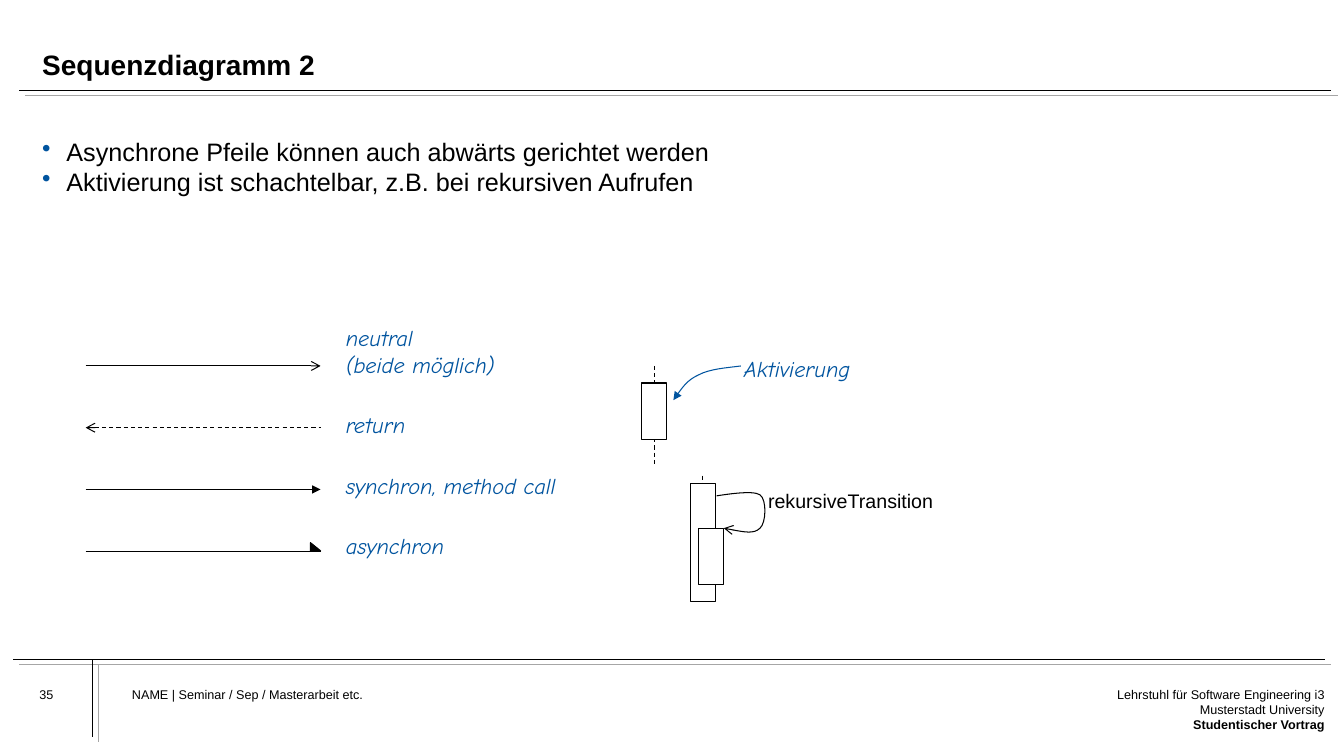
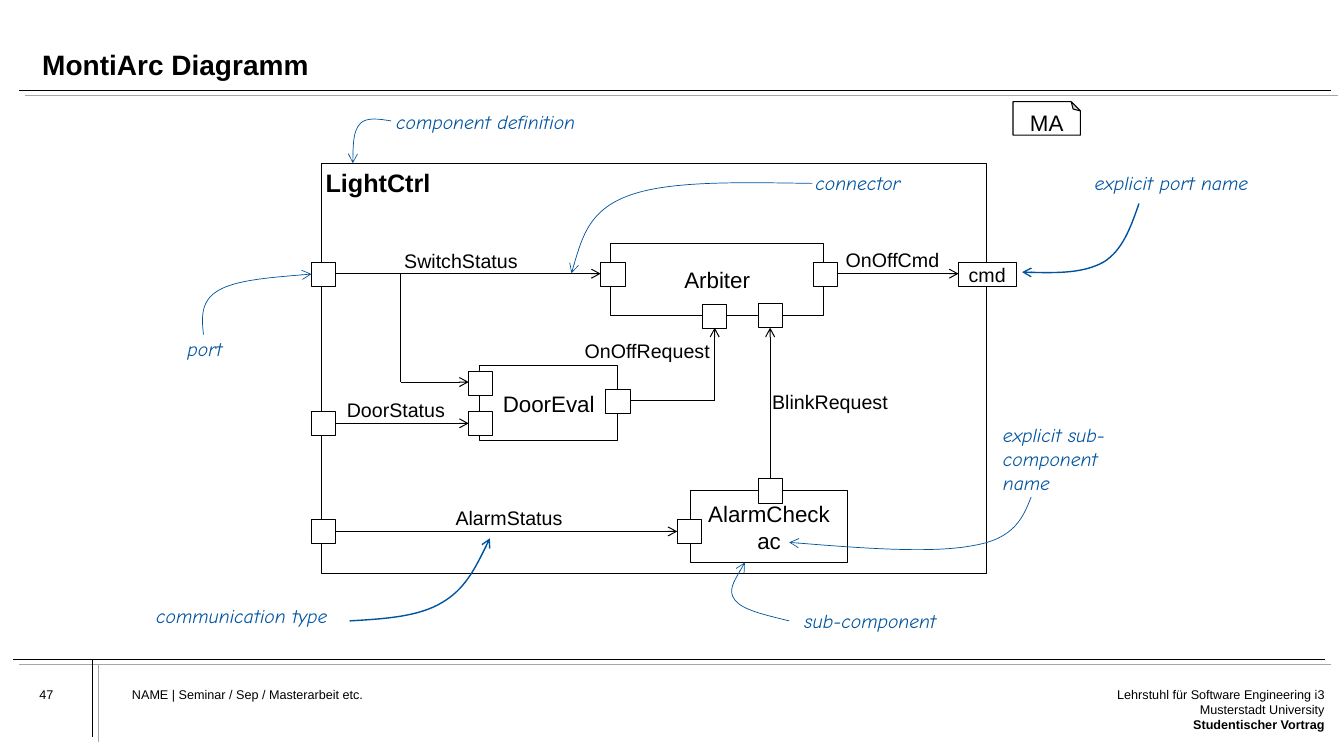
from typing import NamedTuple, Optional

from lxml import etree
from pptx import Presentation
from pptx.dml import color
from pptx.enum import dml, shapes, text
from pptx.oxml import ns
from pptx.util import Pt

BLACK = color.RGBColor(0x00, 0x00, 0x00)
GREY = color.RGBColor(0xA6, 0xA6, 0xA6)
WHITE = color.RGBColor(0xFF, 0xFF, 0xFF)
BLUE = color.RGBColor(0x00, 0x54, 0x9F)
RULE_SHIFT = (4.3, 3.8)
PORT_SIZE = 17.3
BULLET_INDENT = 17.3
BAR_WIDTH = 18
LEFT, CENTER, RIGHT = text.PP_ALIGN.LEFT, text.PP_ALIGN.CENTER, text.PP_ALIGN.RIGHT
TOP, MIDDLE, BOTTOM = text.MSO_ANCHOR.TOP, text.MSO_ANCHOR.MIDDLE, text.MSO_ANCHOR.BOTTOM

Point = tuple[float, float]
Frame = tuple[float, float, float, float]


class Style(NamedTuple):
    size: float
    ink: color.RGBColor = BLACK
    name: str = "Arial"
    bold: bool = False
    italic: bool = False


class Label(NamedTuple):
    wording: str
    left: float
    top: float
    width: float = 190


class Wire(NamedTuple):
    start: Point
    end: Point
    head: Optional[str] = None
    tail: Optional[str] = None
    dashed: bool = False
    weight: float = 0.75
    ink: color.RGBColor = BLACK


class Curve(NamedTuple):
    """x, y of the start, then of three points for each Bézier segment."""
    numbers: tuple[float, ...]
    tail: str = "arrow"
    weight: float = 0.5
    ink: color.RGBColor = BLUE


class Block(NamedTuple):
    frame: Frame
    wording: str = ""
    style: Style = Style(16)
    weight: float = 0.75
    fill: color.RGBColor = WHITE
    kind: shapes.MSO_SHAPE = shapes.MSO_SHAPE.RECTANGLE
    align: text.PP_ALIGN = CENTER
    anchor: text.MSO_ANCHOR = MIDDLE


TITLE = Style(20, bold=True)
BODY = Style(18)
FOOTER = Style(9)
SIGNAL = Style(14)
NOTE = Style(14, BLUE, "Comic Neue", italic=True)
LARGE_NOTE = Style(16, BLUE, "Comic Neue", italic=True)

RULES = [((13.7, 64.3), (951.1, 64.3)), ((9.4, 470.9), (946.1, 470.9)),
         ((66.2, 470.9), (66.2, 526.3))]

MESSAGES = {
    "neutral\n(beide möglich)": {"tail": "arrow"},
    "return": {"head": "arrow", "dashed": True},
    "synchron, method call": {"tail": "triangle"},
    "asynchron": {}}
LIFELINES = [(467.3, 261.4), (501.8, 339.8)]
ACTIVATIONS = [(457.9, 273.6, 40.3), (493.2, 345.6, 84.2), (499, 377.3, 40.3)]
SEQUENCE_CURVES = [
    Curve((511.9, 354.2, 517, 353.5, 537.8, 349.9, 542.9, 353.5, 547.9, 357.1,
           547.2, 373.7, 542.9, 377.3, 538.6, 381.6, 527.8, 379.4, 517, 377.3),
          weight=0.75, ink=BLACK),
    Curve((529.2, 261.4, 518.4, 262.8, 506.9, 263.5, 499, 267.8,
           491, 271.4, 483.8, 281.5, 481, 285.8), "triangle", 0.75)]

COMPONENTS = [
    Block((229.7, 116.6, 475.2, 293), "LightCtrl", Style(18, bold=True), align=LEFT, anchor=TOP),
    Block((493.2, 350.6, 112.3, 51.1), "AlarmCheck\nac"),
    Block((436.3, 174.2, 151.9, 51.1), "Arbiter"),
    Block((342.7, 261.4, 98.6, 53.3), "DoorEval")]
WIRES = [
    Wire((550.1, 342), (550.1, 234), tail="arrow"),
    Wire((239.8, 379.6), (483.8, 379.6), tail="arrow"),
    Wire((239.8, 195.5), (429.1, 195.5), tail="arrow"),
    Wire((597.6, 195.5), (684.7, 195.5), tail="arrow"),
    Wire((239.8, 302.4), (334.8, 302.4), tail="arrow"),
    Wire((450, 285.8), (510.5, 285.8)),
    Wire((510.5, 285.8), (510.5, 234), tail="arrow"),
    Wire((286.2, 195.5), (286.2, 272.9), weight=0.5),
    Wire((286.2, 272.9), (334.8, 272.9), tail="arrow")]
PORTS = [
    (222.5, 187.2), (222.5, 293.8), (222.5, 371.2), (429.1, 187.2), (581, 187.2), (501.8, 217.4),
    (541.4, 216.7), (334.8, 265), (334.8, 293.8), (432.7, 277.9), (541.4, 342), (483.8, 371.2)]
SIGNALS = [
    Label("BlinkRequest", 551.5, 278.6), Label("AlarmStatus", 325.4, 361.4),
    Label("SwitchStatus", 288.7, 177.8), Label("OnOffCmd", 604.1, 177.1),
    Label("DoorStatus", 247.7, 284.4), Label("OnOffRequest", 417.6, 241.9)]
NOTES = [
    Label("port", 133.9, 240.5), Label("component definition", 283, 78.5),
    Label("sub-component", 574.6, 434.9), Label("connector", 582.5, 122.4),
    Label("communication type", 111.6, 431.3), Label("explicit port name", 781.9, 122.4, 150),
    Label("explicit sub-component name", 716.4, 302.4, 87.8)]
NOTE_CURVES = [
    Curve((145.4, 239, 144, 226.8, 143.3, 214.6, 156.2, 207.4,
           168.5, 200.2, 195.8, 198, 222.5, 195.8)),
    Curve((279.4, 86.4, 270.7, 85, 261.4, 83.5, 257, 88.6, 252.7, 93.6, 252, 105.1, 252, 116.6)),
    Curve((580.3, 131, 529.2, 130.3, 478.1, 128.9, 449.3, 139.7,
           421.2, 149.8, 414.7, 172.8, 408.2, 195.1)),
    Curve((563.8, 443.5, 546.5, 439.2, 529.9, 435.6, 524.9, 428.4,
           519.8, 421.9, 526.3, 411.8, 532.1, 401.8)),
    Curve((736.6, 355, 730.8, 369.4, 725, 384.5, 696.2, 389.5,
           667.4, 395.3, 615.6, 391.7, 563.8, 387.4)),
    Curve((813.6, 145.4, 807.8, 162, 802.1, 178.6, 788.4, 187.2,
           774, 195.1, 752.4, 195.1, 730.1, 194.4), weight=1),
    Curve((249.8, 443.5, 274.3, 442.1, 298.8, 440.6, 315.4, 430.6,
           331.9, 421.2, 341.3, 402.5, 349.9, 384.5), weight=1)]


def points(values) -> list[Pt]:
    return [Pt(value) for value in values]


def write(shape, wording: str, style: Style, align=LEFT, anchor=TOP, inset: float = 0) -> None:
    """Fill a shape with one paragraph for each line of the wording."""
    frame = shape.text_frame
    layout = {"word_wrap": True, "vertical_anchor": anchor}
    layout |= {f"margin_{side}": Pt(inset) for side in ("left", "right", "top", "bottom")}
    for name, value in layout.items():
        setattr(frame, name, value)
    frame.text = wording
    letters = {"name": style.name, "size": Pt(style.size), "bold": style.bold,
               "italic": style.italic}
    for para in frame.paragraphs:
        para.alignment = align
        for span in para.runs:
            for name, value in letters.items():
                setattr(span.font, name, value)
            span.font.color.rgb = style.ink


def add_text(page, frame: Frame, wording: str, style: Style, align=LEFT, anchor=TOP):
    box = page.shapes.add_textbox(*points(frame))
    write(box, wording, style, align, anchor)
    return box


def add_label(page, label: Label, style: Style) -> None:
    height = style.size * 1.2 * (label.wording.count("\n") + 1)
    add_text(page, (label.left, label.top, label.width, height), label.wording, style)


def set_line(shape, ink, weight: float, head=None, tail=None, dashed=False) -> None:
    shape.line.color.rgb = ink
    shape.line.width = Pt(weight)
    if dashed:
        shape.line.dash_style = dml.MSO_LINE.DASH
    outline = shape.element.spPr.get_or_add_ln()
    for tag, kind in (("a:headEnd", head), ("a:tailEnd", tail)):
        if kind:
            etree.SubElement(outline, ns.qn(tag), type=kind)


def add_wire(page, wire: Wire) -> None:
    line = page.shapes.add_connector(shapes.MSO_CONNECTOR.STRAIGHT,
                                     *points(wire.start + wire.end))
    set_line(line, wire.ink, wire.weight, wire.head, wire.tail, wire.dashed)
    etree.SubElement(line.element.spPr, ns.qn("a:effectLst"))


def add_curve(page, curve: Curve) -> None:
    lengths = points(curve.numbers)
    start, *rest = zip(lengths[::2], lengths[1::2])
    builder = page.shapes.build_freeform(*start)
    builder.add_line_segments(rest, close=False)
    shape = builder.convert_to_shape()
    outline = next(shape.element.iter(ns.qn("a:path")))
    corners = outline.findall(ns.qn("a:lnTo"))
    for first in range(0, len(corners), 3):
        bezier = etree.SubElement(outline, ns.qn("a:cubicBezTo"))
        for corner in corners[first:first + 3]:
            bezier.append(corner[0])
            outline.remove(corner)
    shape.fill.background()
    shape.shadow.inherit = False
    set_line(shape, curve.ink, curve.weight, tail=curve.tail)


def add_block(page, block: Block):
    shape = page.shapes.add_shape(block.kind, *points(block.frame))
    shape.shadow.inherit = False
    shape.fill.solid()
    shape.fill.fore_color.rgb = block.fill
    set_line(shape, BLACK, block.weight)
    if block.wording:
        write(shape, block.wording, block.style, block.align, block.anchor, inset=2.9)
    return shape


def add_bullets(page, wording: str) -> None:
    box = add_text(page, (30.2, 97.2, 904.3, 345.6), wording, BODY)
    for para in box.text_frame.paragraphs:
        properties = para._p.get_or_add_pPr()
        properties.set("marL", str(Pt(BULLET_INDENT)))
        properties.set("indent", str(-Pt(BULLET_INDENT)))
        tint = etree.SubElement(properties, ns.qn("a:buClr"))
        etree.SubElement(tint, ns.qn("a:srgbClr"), val=str(BLUE))
        etree.SubElement(properties, ns.qn("a:buChar"), char="•")


def add_page(deck, title: str, number: int):
    """Add a blank slide with title, double rules and footer."""
    page = deck.slides.add_slide(deck.slide_layouts[6])
    for ends in RULES:
        add_wire(page, Wire(*ends, weight=0.5))
        shifted = [tuple(a + b for a, b in zip(point, RULE_SHIFT)) for point in ends]
        add_wire(page, Wire(*shifted, weight=0.5, ink=GREY))
    add_text(page, (28.1, 490.3, 57.6, 31), str(number), FOOTER)
    add_text(page, (94.3, 490.3, 551.5, 49.7), "NAME | Seminar / Sep / Masterarbeit etc.", FOOTER)
    sender = "Lehrstuhl für Software Engineering i3\nMusterstadt University\nStudentischer Vortrag"
    box = add_text(page, (781.3, 490.3, 164.8, 49.7), sender, FOOTER, RIGHT)
    box.text_frame.paragraphs[-1].runs[0].font.bold = True
    heading = add_text(page, (30.2, 15.8, 904.3, 42.5), title, TITLE, anchor=BOTTOM)
    heading.text_frame.paragraphs[0].line_spacing = 0.9
    return page


def draw_sequence(deck) -> None:
    page = add_page(deck, "Sequenzdiagramm 2", 35)
    add_bullets(page, "Asynchrone Pfeile können auch abwärts gerichtet werden\n"
                      "Aktivierung ist schachtelbar, z.B. bei rekursiven Aufrufen")
    for row, (wording, ends) in enumerate(MESSAGES.items()):
        height = 261.4 + 44.1 * row
        add_wire(page, Wire((61.2, height), (229, height), **ends))
        top = 250.6 + 43.2 * row - 18.8 * wording.count("\n")
        add_label(page, Label(wording, 247, top), LARGE_NOTE)
    add_block(page, Block((221.8, 387.6, 7.2, 5.8), fill=BLACK,
                          kind=shapes.MSO_SHAPE.RIGHT_TRIANGLE))
    for left, top in LIFELINES:
        add_wire(page, Wire((left, top), (left, top + 72), dashed=True))
    for left, top, height in ACTIVATIONS:
        add_block(page, Block((left, top, BAR_WIDTH, height)))
    for curve in SEQUENCE_CURVES:
        add_curve(page, curve)
    add_label(page, Label("Aktivierung", 531.4, 253.4), LARGE_NOTE)
    add_label(page, Label("rekursiveTransition", 548.6, 349.2), SIGNAL)


def draw_architecture(deck) -> None:
    page = add_page(deck, "MontiArc Diagramm", 47)
    for component in COMPONENTS:
        add_block(page, component)
    for wire in WIRES:
        add_wire(page, wire)
    for port in PORTS:
        add_block(page, Block((*port, PORT_SIZE, PORT_SIZE), weight=0.5))
    add_block(page, Block((684.7, 187.2, 41, PORT_SIZE), "cmd", SIGNAL, 0.5))
    for labels, style in ((SIGNALS, SIGNAL), (NOTES, NOTE)):
        for label in labels:
            add_label(page, label, style)
    for curve in NOTE_CURVES:
        add_curve(page, curve)
    tag = add_block(page, Block((723.6, 72.7, 48.2, 23.8), "MA",
                                kind=shapes.MSO_SHAPE.FOLDED_CORNER))
    guides = next(tag.element.iter(ns.qn("a:avLst")))
    etree.SubElement(guides, ns.qn("a:gd"), name="adj", fmla="val 27600")
    tag.element.spPr.find(ns.qn("a:xfrm")).set("flipV", "1")
    tag.text_frame._txBody.bodyPr.set("rot", "10800000")


def main() -> None:
    deck = Presentation()
    deck.slide_width, deck.slide_height = Pt(960), Pt(540)
    draw_sequence(deck)
    draw_architecture(deck)
    deck.save("out.pptx")


if __name__ == "__main__":
    main()
